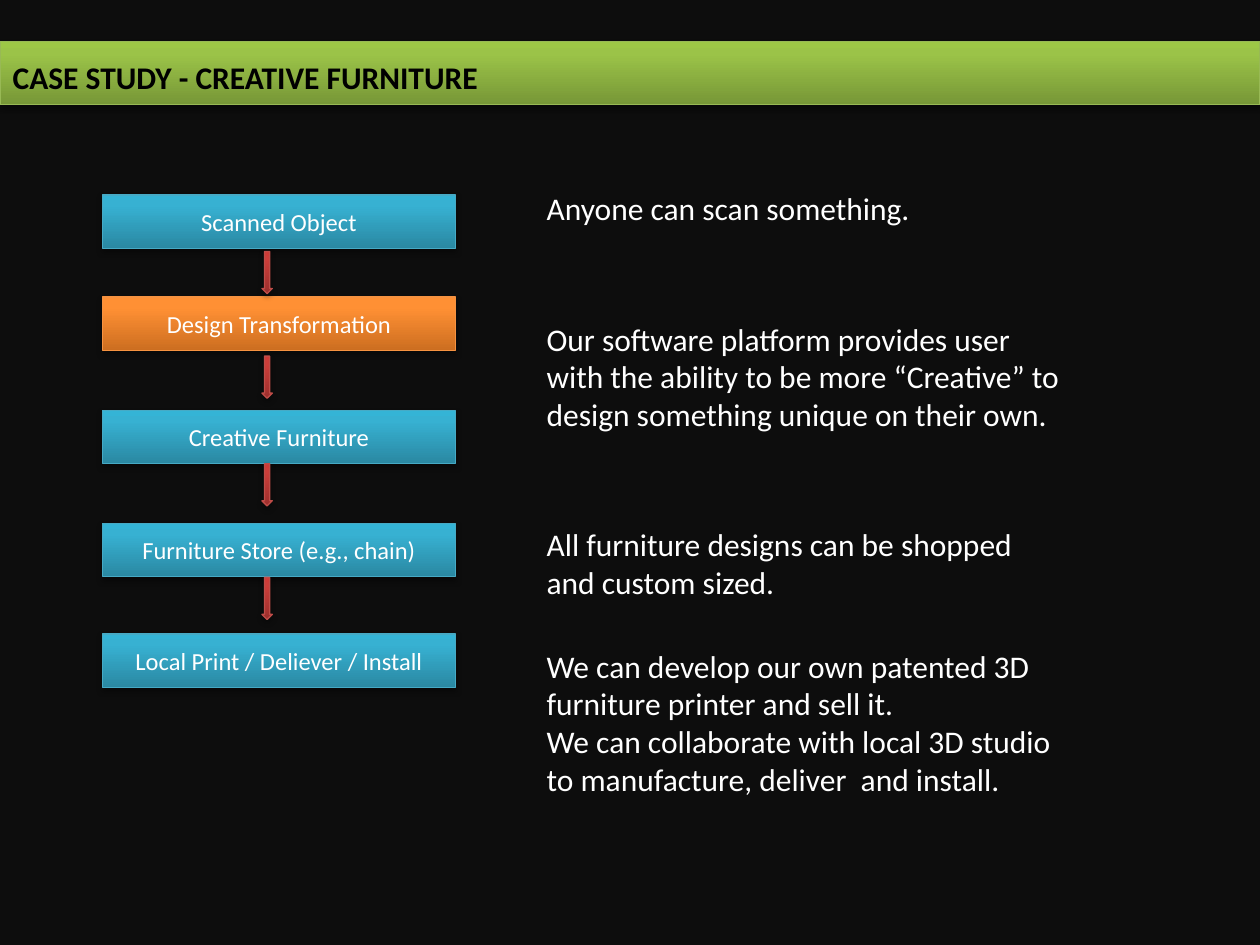
"""Builds the creative furniture case study slide."""
from lxml.etree import SubElement
from pptx import Presentation
from pptx.dml.color import RGBColor
from pptx.enum.shapes import MSO_SHAPE as Preset
from pptx.enum.text import MSO_ANCHOR as Anchor, PP_ALIGN as Align
from pptx.oxml.ns import qn
from pptx.util import Cm, Pt

BACKGROUND = RGBColor(0x0D, 0x0D, 0x0D)
BLACK = RGBColor(0, 0, 0)
WHITE = RGBColor(0xFF, 0xFF, 0xFF)
GREEN = [RGBColor.from_string(c) for c in ("779737", "9BC348", "9DC746", "98B955")]
BLUE = [RGBColor.from_string(c) for c in ("2A88A2", "37B1D2", "34B4D6", "46AAC5")]
ORANGE = [RGBColor.from_string(c) for c in ("CC6E20", "FF9034", "FF9136", "F69240")]
RED = [RGBColor.from_string(c) for c in ("9C2F2D", "CB3E3A", "CE3B37", "BF4C48")]


def write(shape, *paragraphs, size=18, color=WHITE, bold=False,
          align=Align.LEFT, anchor=Anchor.TOP, spacing=None):
    frame = shape.text_frame
    frame.text = "\n".join(paragraphs)
    frame.word_wrap = True
    frame.vertical_anchor = anchor
    for paragraph in frame.paragraphs:
        paragraph.alignment = align
        paragraph.line_spacing = spacing
        font = paragraph.runs[0].font
        font.name, font.size, font.bold = "Calibri", Pt(size), bold
        font.color.rgb = color


def paint(shape, palette):
    *shades, edge = palette
    shape.fill.gradient()
    shape.fill.gradient_angle = 90
    properties = shape._element.spPr
    stops = properties.find(".//" + qn("a:gsLst"))
    stops.clear()
    for position, shade in zip((0, 80000, 100000), shades):
        stop = SubElement(stops, qn("a:gs"), pos=str(position))
        SubElement(stop, qn("a:srgbClr"), val=str(shade))
    shape.line.color.rgb = edge
    shape.line.width = Pt(0.75)
    shape.shadow.inherit = False
    shadow = SubElement(properties.find(qn("a:effectLst")), qn("a:outerShdw"),
                        blurRad="40000", dist="23000", dir="5400000", rotWithShape="0")
    tint = SubElement(shadow, qn("a:srgbClr"), val=str(BLACK))
    SubElement(tint, qn("a:alpha"), val="35000")


deck = Presentation()
deck.slide_width, deck.slide_height = Cm(25.4), Cm(19.05)
slide = deck.slides.add_slide(deck.slide_layouts[5])
slide.background.fill.solid()
slide.background.fill.fore_color.rgb = BACKGROUND

title = slide.shapes.title
title.left, title.top, title.width, title.height = Cm(0), Cm(0.83), Cm(25.4), Cm(1.28)
paint(title, GREEN)
write(title, "CASE STUDY - CREATIVE FURNITURE", color=BLACK, bold=True,
      anchor=Anchor.MIDDLE, spacing=1.2)

steps = [
    ("Scanned Object", 3.93, BLUE),
    ("Design Transformation", 5.99, ORANGE),
    ("Creative Furniture", 8.27, BLUE),
    ("Furniture Store (e.g., chain)", 10.55, BLUE),
    ("Local Print / Deliever / Install", 12.78, BLUE),
]
flow = slide.shapes.add_group_shape().shapes
for label, top, palette in steps:
    step = flow.add_shape(Preset.RECTANGLE, Cm(2.07), Cm(top), Cm(7.11), Cm(1.08))
    paint(step, palette)
    write(step, label, size=14, align=Align.CENTER, anchor=Anchor.MIDDLE)

for top in (5.07, 7.18, 9.35, 11.64):
    arrow = flow.add_shape(Preset.DOWN_ARROW, Cm(5.28), Cm(top), Cm(0.21), Cm(0.85))
    paint(arrow, RED)

notes = [
    (3.68, 7.9, 1, ["Anyone can scan something."]),
    (6.32, 11.07, 3, ["Our software platform provides user with the ability to be more "
                      "“Creative” to design something unique on their own."]),
    (10.46, 10.29, 2, ["All furniture designs can be shopped and custom sized."]),
    (12.91, 10.72, 4, ["We can develop our own patented 3D furniture printer and sell it.",
                       "We can collaborate with local 3D studio to manufacture, "
                       "deliver  and install."]),
]
for top, width, lines, paragraphs in notes:
    note = slide.shapes.add_textbox(Cm(10.77), Cm(top), Cm(width), Cm(0.25 + 0.77 * lines))
    write(note, *paragraphs)

deck.save("out.pptx")
